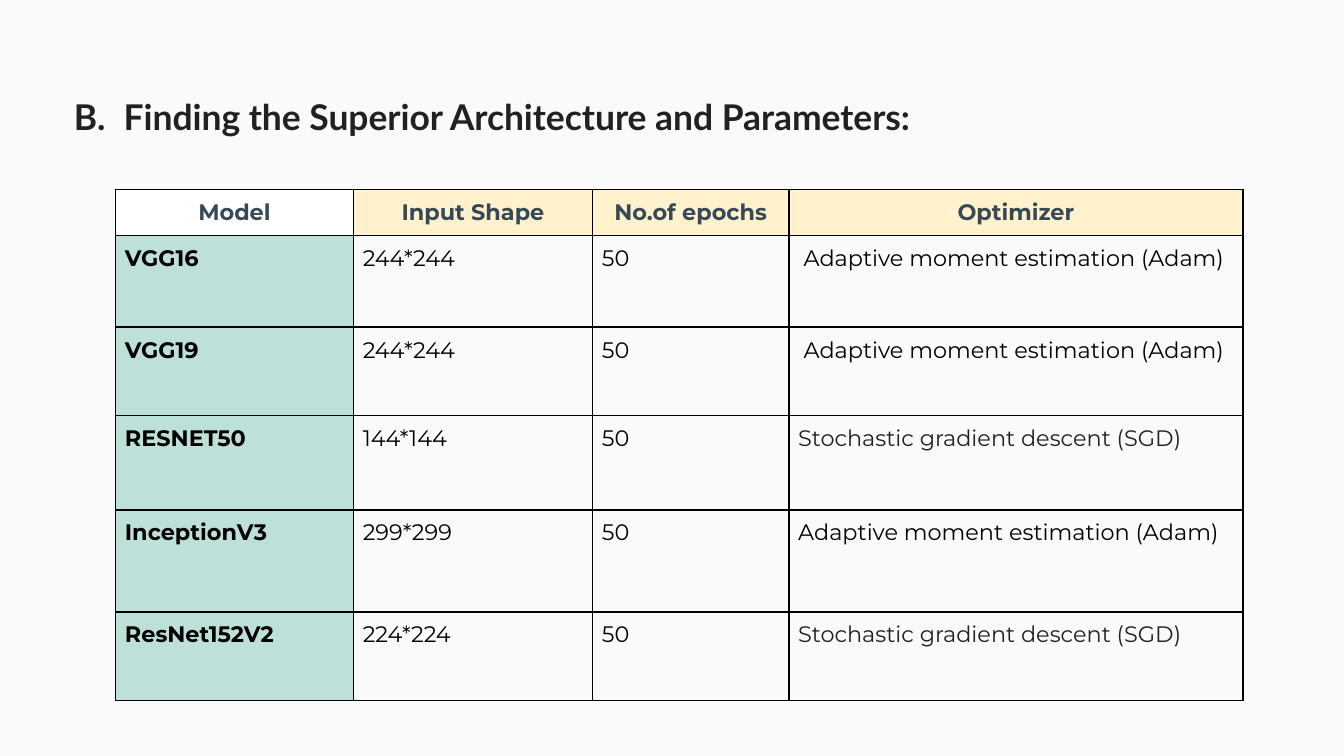
import lxml.etree
import pptx
import pptx.dml.color
import pptx.enum.text
import pptx.oxml.ns
import pptx.util
from pptx.util import Inches

SLIDE_WIDTH = 10
SLIDE_HEIGHT = SLIDE_WIDTH * 9 / 16
BLACK = "000000"
HEADINGS = ["Model", "Input Shape", "No.of epochs", "Optimizer"]
ADAM = "Adaptive moment estimation (Adam)"
SGD = "Stochastic gradient descent (SGD)"
MODELS = [
    ("VGG16", "244*244", "50", ADAM),
    ("VGG19", "244*244", "50", ADAM),
    ("RESNET50", "144*144", "50", SGD),
    ("InceptionV3", "299*299", "50", ADAM),
    ("ResNet152V2", "224*224", "50", SGD),
]
COLUMN_WIDTHS = [1.77, 1.78, 1.46, 3.38]
ROW_HEIGHTS = [0.34, 0.68, 0.66, 0.7, 0.76, 0.66]
INDENTED_ROWS = (1, 2)  # their optimizer names start slightly further right


def rgb(value):
    return pptx.dml.color.RGBColor.from_string(value)


def add_child(parent, tag, **attributes):
    return lxml.etree.SubElement(parent, pptx.oxml.ns.qn(tag), **attributes)


def style_text(paragraph, font_name, size, color, bold):
    font = paragraph.font
    font.name = font_name
    font.size = pptx.util.Pt(size)
    font.color.rgb = rgb(color)
    font.bold = bold


def add_title(slide):
    title = slide.shapes.title
    title.left, title.top = Inches(0.48), Inches(0.32)
    title.width, title.height = Inches(8.62), Inches(1.09)
    frame = title.text_frame
    frame.auto_size = pptx.enum.text.MSO_AUTO_SIZE.NONE
    frame.vertical_anchor = pptx.enum.text.MSO_ANCHOR.MIDDLE
    frame.margin_left = frame.margin_right = Inches(0.07)
    frame.margin_top = frame.margin_bottom = Inches(0.04)
    frame.text = "B.\tFinding the Superior Architecture and Parameters:"
    heading = frame.paragraphs[0]
    heading.alignment = pptx.enum.text.PP_ALIGN.JUSTIFY
    tab_stops = add_child(heading._p.get_or_add_pPr(), "a:tabLst")
    add_child(tab_stops, "a:tab", pos=str(Inches(0.37)), algn="l")
    style_text(heading, "Lato", 19, "212121", True)


def add_borders(cell):
    properties = cell._tc.get_or_add_tcPr()
    for side in ("a:lnL", "a:lnR", "a:lnT", "a:lnB"):
        border = add_child(properties, side, w=str(pptx.util.Pt(1)))
        add_child(add_child(border, "a:solidFill"), "a:srgbClr", val=BLACK)


def fill_cell(cell, text, color=BLACK, bold=False, fill=None, centred=False):
    cell.margin_left = cell.margin_right = Inches(0.07)
    cell.margin_top = cell.margin_bottom = Inches(0.07)
    add_borders(cell)
    if fill:
        cell.fill.solid()
        cell.fill.fore_color.rgb = rgb(fill)
    else:
        cell.fill.background()
    cell.text = text
    paragraph = cell.text_frame.paragraphs[0]
    if centred:
        paragraph.alignment = pptx.enum.text.PP_ALIGN.CENTER
    style_text(paragraph, "Montserrat", 12, color, bold)


def add_model_table(slide):
    table = slide.shapes.add_table(
        len(ROW_HEIGHTS), len(COLUMN_WIDTHS), Inches(0.86), Inches(1.41),
        Inches(sum(COLUMN_WIDTHS)), Inches(sum(ROW_HEIGHTS))).table
    table.first_row = table.horz_banding = False
    for column, width in zip(table.columns, COLUMN_WIDTHS):
        column.width = Inches(width)
    for row, height in zip(table.rows, ROW_HEIGHTS):
        row.height = Inches(height)

    for column, heading in enumerate(HEADINGS):
        fill_cell(table.cell(0, column), heading, "374957", True,
                  "FFF2CC" if column else "FFFFFF", centred=True)
    for row, (model, input_shape, epochs, optimizer) in enumerate(MODELS, 1):
        fill_cell(table.cell(row, 0), model, bold=True, fill="BDE0D9")
        fill_cell(table.cell(row, 1), input_shape)
        fill_cell(table.cell(row, 2), epochs)
        fill_cell(table.cell(row, 3), optimizer,
                  "202124" if optimizer == SGD else BLACK)
    for row in INDENTED_ROWS:
        table.cell(row, 3).margin_left = Inches(0.11)


def main():
    deck = pptx.Presentation()
    deck.slide_width = Inches(SLIDE_WIDTH)
    deck.slide_height = Inches(SLIDE_HEIGHT)
    slide = deck.slides.add_slide(deck.slide_layouts[5])
    slide.background.fill.solid()
    slide.background.fill.fore_color.rgb = rgb("FAFAFA")
    add_title(slide)
    add_model_table(slide)
    deck.save("out.pptx")


if __name__ == "__main__":
    main()
